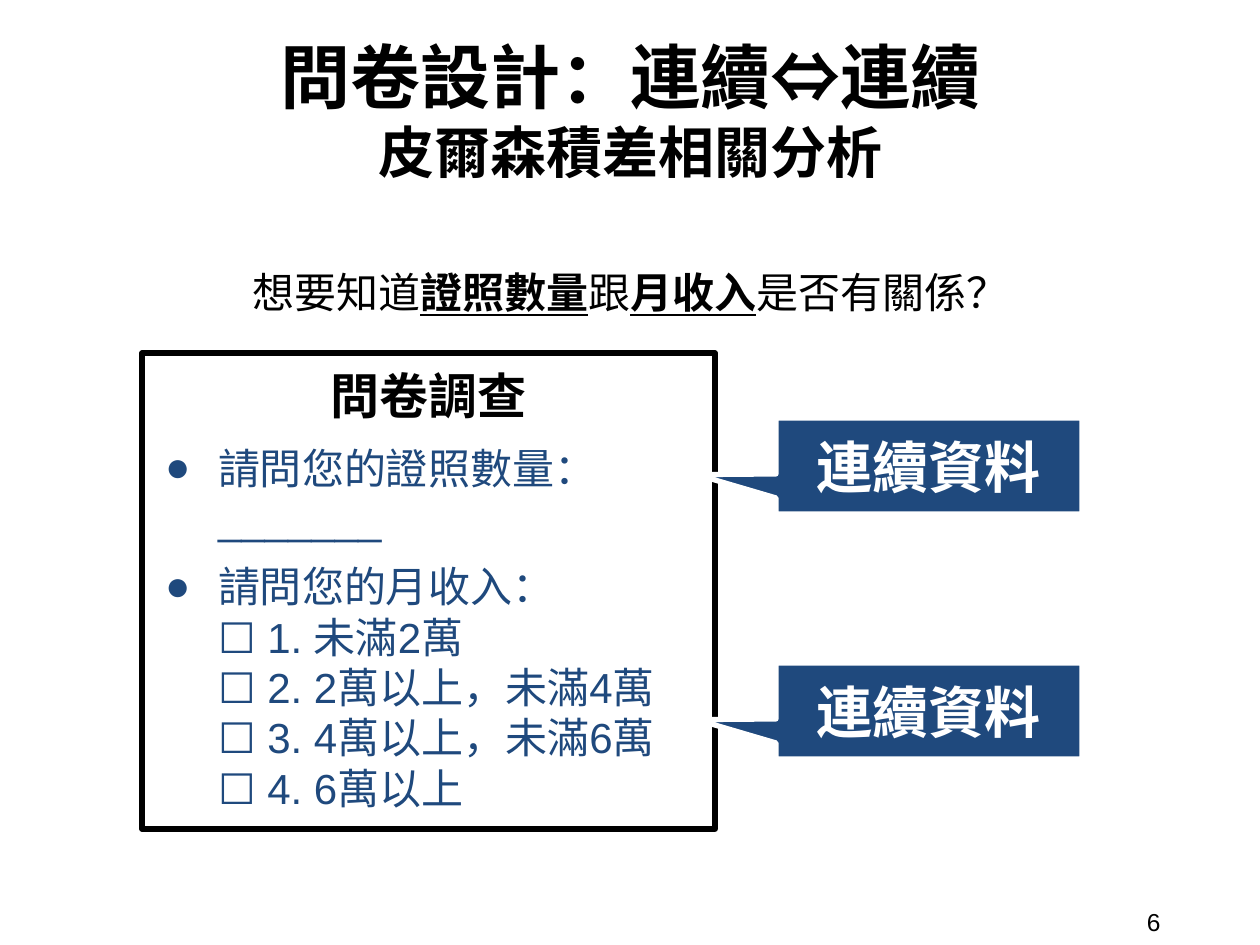
from dataclasses import dataclass

from pptx import Presentation
from pptx.dml.color import RGBColor
from pptx.enum.shapes import MSO_SHAPE
from pptx.enum.text import MSO_ANCHOR, PP_ALIGN
from pptx.oxml.ns import qn
from pptx.util import Emu, Pt
from lxml import etree

RECTANGLE = MSO_SHAPE.RECTANGLE
CALLOUT = MSO_SHAPE.ROUNDED_RECTANGULAR_CALLOUT
TOP, MIDDLE = MSO_ANCHOR.TOP, MSO_ANCHOR.MIDDLE
LEFT, CENTER = PP_ALIGN.LEFT, PP_ALIGN.CENTER
EMU_PER_PX = 914400 / 126


@dataclass(frozen=True)
class Theme:
    black: str = "000000"
    white: str = "FFFFFF"
    navy: str = "1F497D"
    sans: str = "Arial"
    chinese: str = "Noto Sans CJK TC"
    title: int = 40
    subtitle: int = 32
    heading: int = 28
    body: int = 24
    number: int = 14
    border: int = 3


THEME = Theme()


@dataclass(frozen=True)
class Box:
    left: int
    top: int
    width: int
    height: int


@dataclass(frozen=True)
class TextRun:
    text: str
    emphasis: bool = False


@dataclass(frozen=True)
class Line:
    runs: tuple[TextRun, ...]
    size: int
    color: str = THEME.black
    font: str = THEME.sans
    bold: bool = False
    align: int = CENTER
    bullet: bool = False
    spacing: float = 1.0
    before: int = 0
    after: int = 0


def px(length: int) -> Emu:
    return Emu(round(length * EMU_PER_PX))


def bounds(box: Box) -> tuple[Emu, ...]:
    return tuple(px(n) for n in (box.left, box.top, box.width, box.height))


def set_attributes(target, values: dict) -> None:
    for name, value in values.items():
        setattr(target, name, value)


def add_bullet(paragraph, color: str) -> None:
    properties = paragraph._p.get_or_add_pPr()
    properties.set("marL", str(px(63)))
    properties.set("indent", str(px(-53)))
    bullet_color = etree.SubElement(properties, qn("a:buClr"))
    etree.SubElement(bullet_color, qn("a:srgbClr"), val=color)
    etree.SubElement(properties, qn("a:buFont"), typeface=THEME.sans)
    etree.SubElement(properties, qn("a:buChar"), char="●")


def format_run(run, line: Line, emphasis: bool) -> None:
    set_attributes(run.font, {
        "name": line.font,
        "size": Pt(line.size),
        "bold": line.bold or emphasis,
        "underline": emphasis,
    })
    run.font.color.rgb = RGBColor.from_string(line.color)
    etree.SubElement(run._r.get_or_add_rPr(), qn("a:ea"), typeface=line.font)


def write_lines(shape, lines: list[Line], anchor: int, inset: int = 13) -> None:
    frame = shape.text_frame
    set_attributes(frame, {
        "word_wrap": True,
        "vertical_anchor": anchor,
        "margin_left": px(13),
        "margin_right": px(13),
        "margin_top": px(inset),
        "margin_bottom": px(inset),
    })
    for index, line in enumerate(lines):
        paragraph = frame.add_paragraph() if index else frame.paragraphs[0]
        if line.bullet:
            add_bullet(paragraph, line.color)
        set_attributes(paragraph, {
            "alignment": line.align,
            "line_spacing": line.spacing,
            "space_before": Pt(line.before),
            "space_after": Pt(line.after),
        })
        for text_run in line.runs:
            for row, text in enumerate(text_run.text.split("\n")):
                if row:
                    paragraph.add_line_break()
                run = paragraph.add_run()
                run.text = text
                format_run(run, line, text_run.emphasis)


def add_text(slide, box: Box, lines: list[Line], anchor: int, inset: int = 13) -> None:
    write_lines(slide.shapes.add_textbox(*bounds(box)), lines, anchor, inset)


def add_panel(slide, kind: int, box: Box, fill: str, border: str,
              lines: list[Line], anchor: int, adjustments: tuple[float, ...] = ()) -> None:
    shape = slide.shapes.add_shape(kind, *bounds(box))
    for index, value in enumerate(adjustments):
        shape.adjustments[index] = value
    shape.shadow.inherit = False
    shape.fill.solid()
    shape.fill.fore_color.rgb = RGBColor.from_string(fill)
    shape.line.color.rgb = RGBColor.from_string(border)
    shape.line.width = Pt(THEME.border)
    write_lines(shape, lines, anchor)


def question(text: str, before: int = 0) -> Line:
    return Line((TextRun(text),), THEME.body, THEME.navy, align=LEFT, bullet=True, before=before)


def main() -> None:
    presentation = Presentation()
    set_attributes(presentation, {"slide_width": px(1260), "slide_height": px(945)})
    slide = presentation.slides.add_slide(presentation.slide_layouts[6])

    add_text(slide, Box(66, 24, 1129, 171), [
        Line((TextRun("問卷設計：連續⇔連續"),), THEME.title, font=THEME.chinese, bold=True),
        Line((TextRun("皮爾森積差相關分析"),), THEME.subtitle, font=THEME.chinese, bold=True),
    ], MIDDLE)

    research_question = (
        TextRun("想要知道"), TextRun("證照數量", True), TextRun("跟"),
        TextRun("月收入", True), TextRun("是否有關係？"),
    )
    add_text(slide, Box(66, 246, 1129, 107), [
        Line(research_question, THEME.body, font=THEME.chinese, spacing=1.15),
    ], TOP)

    income_options = ("1. 未滿2萬", "2. 2萬以上，未滿4萬", "3. 4萬以上，未滿6萬", "4. 6萬以上")
    income_question = "\n☐ ".join(("請問您的月收入：", *income_options))
    add_panel(slide, RECTANGLE, Box(142, 353, 573, 476), THEME.white, THEME.black, [
        Line((TextRun("問卷調查"),), THEME.heading, bold=True, after=10),
        question("請問您的證照數量：_______"),
        question(income_question, before=10),
    ], TOP)

    label = Line((TextRun("連續資料"),), THEME.subtitle, THEME.white, bold=True)
    for top in (418, 663):
        add_panel(slide, CALLOUT, Box(776, top, 306, 96), THEME.navy, THEME.white,
                  [label], MIDDLE, (-0.76, 0.09, 0))

    add_text(slide, Box(1134, 903, 116, 37), [
        Line((TextRun("6"),), THEME.number, align=LEFT),
    ], MIDDLE, inset=6)

    presentation.save("out.pptx")


if __name__ == "__main__":
    main()
